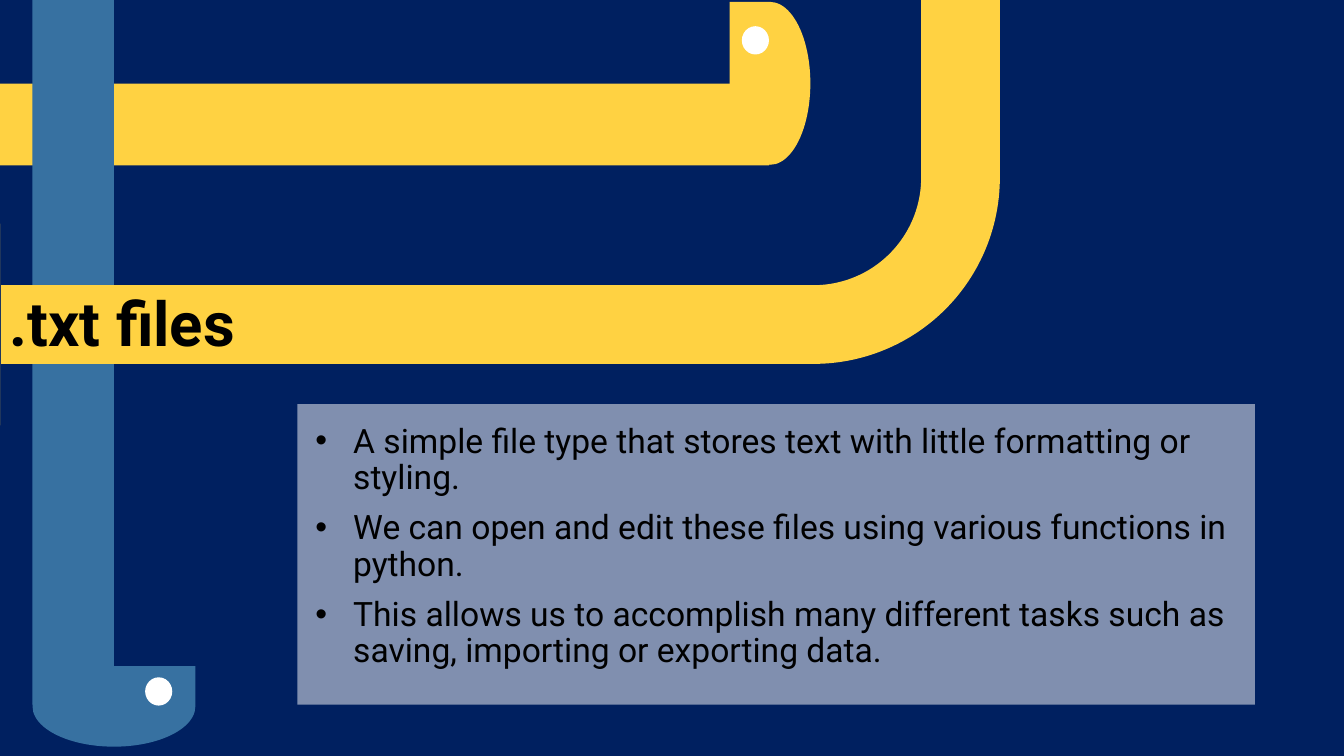
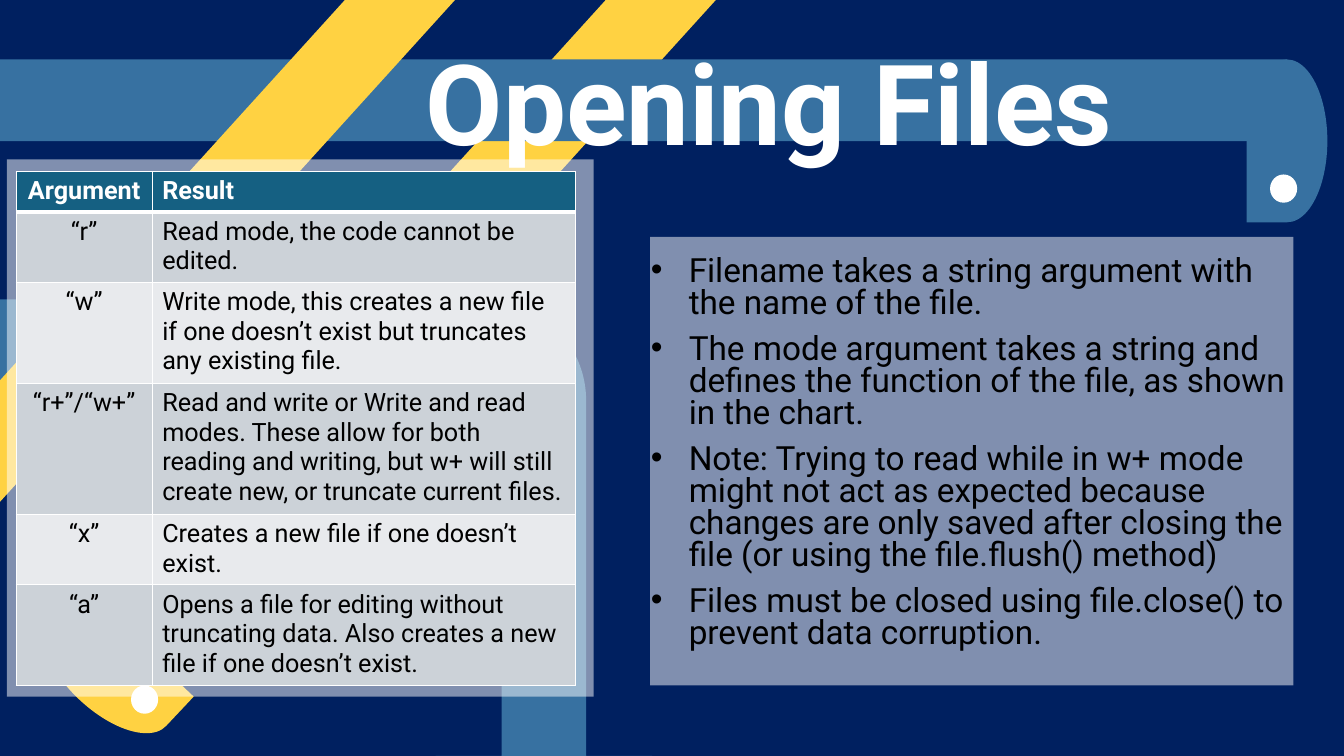
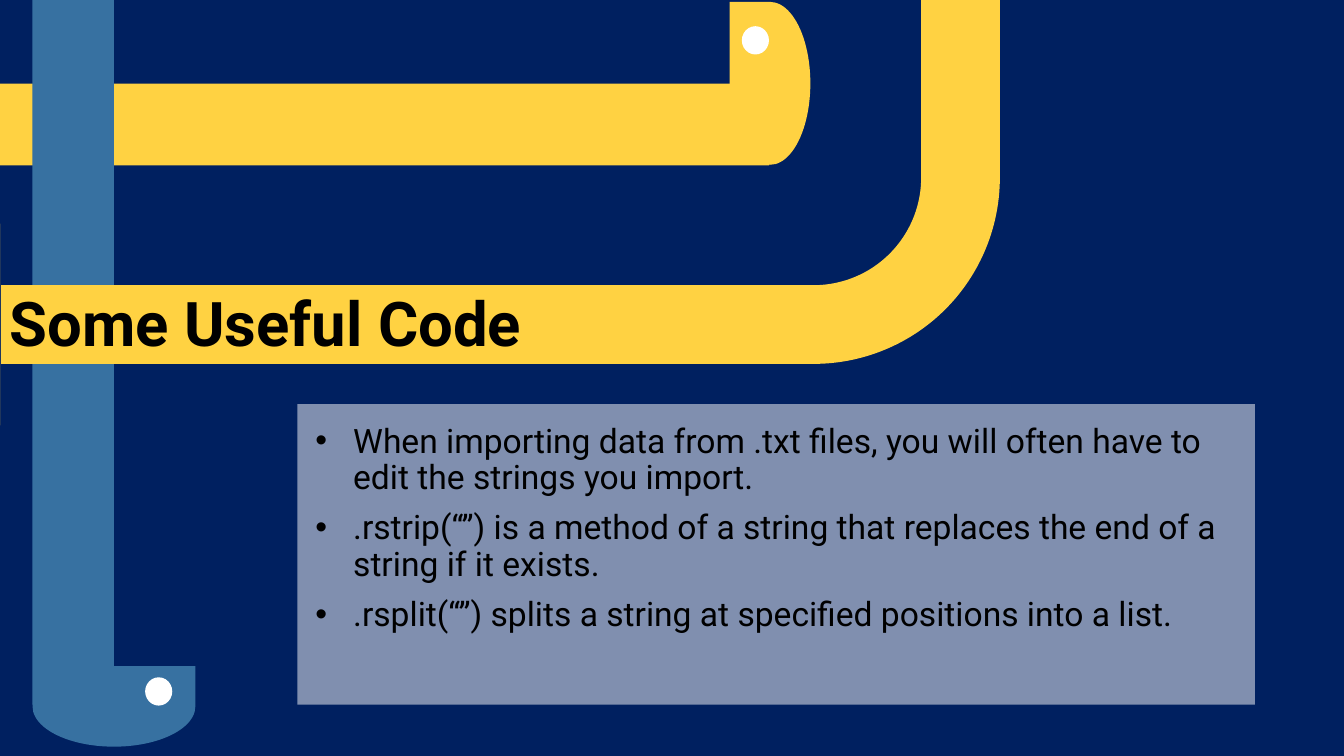
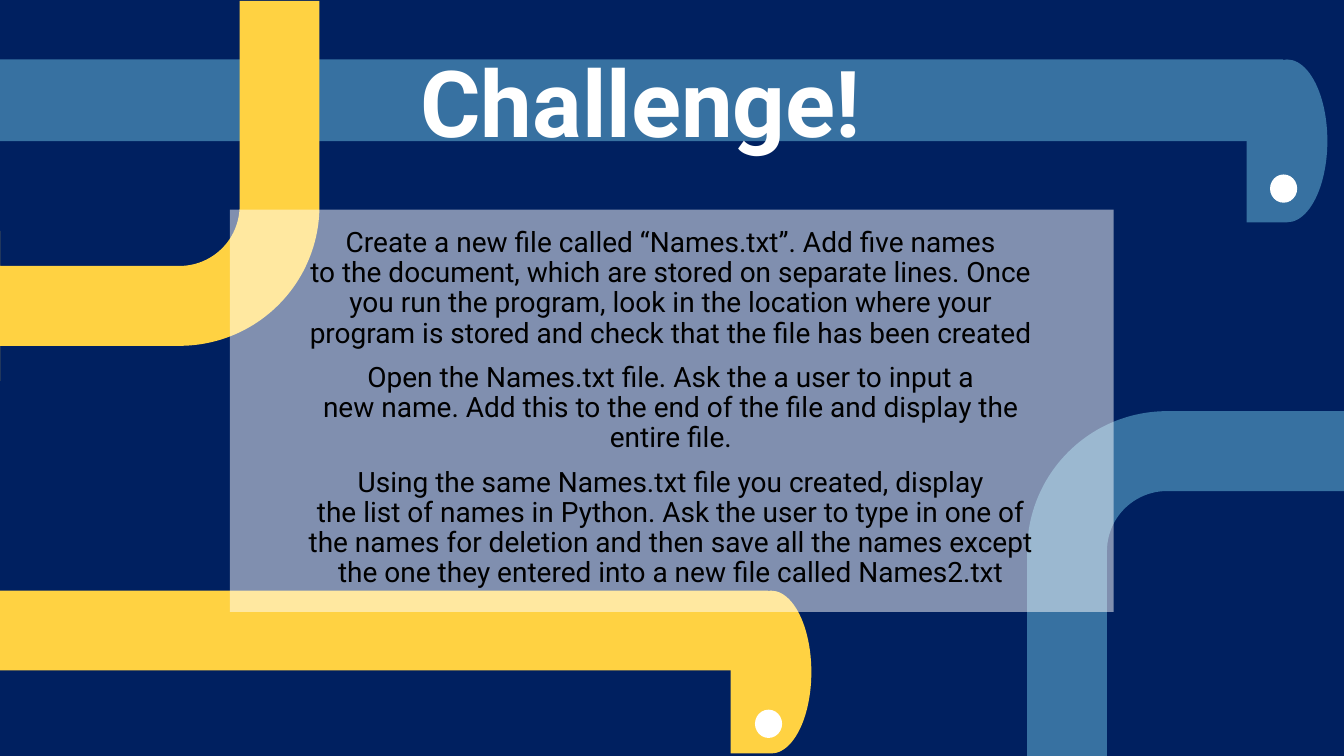
"""Build four slides on text files in Python, with snake-shaped bands."""
import lxml.etree
import pptx
import pptx.dml.color
import pptx.enum.shapes
import pptx.enum.text
import pptx.oxml.ns
import pptx.util

Pt = pptx.util.Pt
RGBColor = pptx.dml.color.RGBColor
SHAPE = pptx.enum.shapes.MSO_SHAPE
ALIGN = pptx.enum.text.PP_ALIGN
ANCHOR = pptx.enum.text.MSO_ANCHOR
qn = pptx.oxml.ns.qn

NAVY = RGBColor(0x00, 0x20, 0x60)
YELLOW = RGBColor(0xFF, 0xD2, 0x42)
BLUE = RGBColor(0x37, 0x71, 0xA1)
WHITE = RGBColor(0xFF, 0xFF, 0xFF)
BLACK = RGBColor(0x00, 0x00, 0x00)
HEADER = RGBColor(0x15, 0x60, 0x82)
STRIPES = (RGBColor(0xE8, 0xEA, 0xED), RGBColor(0xCC, 0xD2, 0xD8))

FONT = "Roboto"
BAND = 58.3
HEAD_W, HEAD_H = 57.6, 116.3
EYE_W, EYE_H = 19.4, 20.2
INDENT = 27
LINE, CELL_PAD = 21.1, 7.2

MODES = [
    ("Argument", "Result", 1),
    ("“r”", "Read mode, the code cannot be edited.", 2),
    ("“w”", "Write mode, this creates a new file if one doesn’t exist "
     "but truncates any existing file.", 3),
    ("“r+”/“w+”", "Read and write or Write and read modes. These allow for both "
     "reading and writing, but w+ will still create new, or truncate current files.", 4),
    ("“x”", "Creates a new file if one doesn’t exist.", 2),
    ("“a”", "Opens a file for editing without truncating data. "
     "Also creates a new file if one doesn’t exist.", 3),
]


def add_run(p, text, size, color=BLACK, bold=False):
    """Add one run in the deck font."""
    r = p.add_run()
    r.text = text
    r.font.name = FONT
    r.font.size = Pt(size)
    r.font.bold = bold
    r.font.color.rgb = color


def add_shape(s, kind, at, fill, rot=0, flip="", adj=()):
    """Add a plain filled preset shape without outline."""
    sp = s.shapes.add_shape(kind, *map(Pt, at))
    sp.shadow.inherit = False
    sp.fill.solid()
    sp.fill.fore_color.rgb = fill
    sp.line.fill.background()
    sp.rotation = rot
    for axis in flip:
        sp.element.spPr.xfrm.set("flip" + axis, "1")
    for i, value in enumerate(adj):
        sp.adjustments[i] = value
    return sp


def add_band(s, left, top, length, fill, rot=0):
    """Add a straight piece of a snake's body."""
    return add_shape(s, SHAPE.RECTANGLE, (left, top, length, BAND), fill, rot)


def add_bend(s, at, fill, rot, adj):
    """Add a curved piece of a snake's body."""
    add_shape(s, SHAPE.BENT_ARROW, at, fill, rot, adj=adj)


def add_head(s, left, top, fill, eye, rot=0, flip="H"):
    """Add a snake's head with its eye."""
    add_shape(s, SHAPE.TEAR, (left, top, HEAD_W, HEAD_H), fill, rot, flip)
    add_shape(s, SHAPE.FLOWCHART_CONNECTOR, (*eye, EYE_W, EYE_H), WHITE)


def add_panel(s, *at):
    """Add a half-transparent white panel."""
    sp = add_shape(s, SHAPE.RECTANGLE, at, WHITE)
    color = sp.element.spPr.find(qn("a:solidFill")).find(qn("a:srgbClr"))
    lxml.etree.SubElement(color, qn("a:alpha")).set("val", "50000")


def add_text(s, at, paragraphs, size, spacing=0.9, bullets=False, align=ALIGN.LEFT,
             anchor=ANCHOR.TOP, bold=False):
    """Add a text box; a newline in a paragraph is a line break."""
    tf = s.shapes.add_textbox(*map(Pt, at)).text_frame
    tf.word_wrap = True
    tf.vertical_anchor = anchor
    for i, text in enumerate(paragraphs):
        p = tf.add_paragraph() if i else tf.paragraphs[0]
        p.alignment = align
        p.line_spacing = spacing
        p.space_before = Pt(10)
        if bullets:
            pPr = p._p.get_or_add_pPr()
            pPr.set("marL", str(Pt(INDENT)))
            pPr.set("indent", str(-Pt(INDENT)))
            lxml.etree.SubElement(pPr, qn("a:buFont")).set("typeface", "Arial")
            lxml.etree.SubElement(pPr, qn("a:buChar")).set("char", "•")
        for j, line in enumerate(text.split("\n")):
            if j:
                p.add_line_break()
            add_run(p, line, size)
            p.runs[-1].font.bold = bold


def add_title_band(s, left, length, text, size, inset=7.2):
    """Add the blue snake that carries a slide's title."""
    add_head(s, 890.6, 42.5, BLUE, (907.2, 124.6), flip="HV")
    tf = add_band(s, left, 42.5, length, BLUE).text_frame
    tf.word_wrap = True
    tf.margin_left = Pt(inset)
    tf.vertical_anchor = ANCHOR.MIDDLE
    p = tf.paragraphs[0]
    p.alignment = ALIGN.CENTER
    add_run(p, text, size, WHITE, True)


def set_borders(cell, bottom):
    """Give a cell white borders, with its own bottom width."""
    tcPr = cell._tc.get_or_add_tcPr()
    for side, width in (("L", 1), ("R", 1), ("T", 1), ("B", bottom)):
        ln = lxml.etree.SubElement(tcPr, qn("a:ln" + side), w=str(Pt(width)))
        fill = lxml.etree.SubElement(ln, qn("a:solidFill"))
        lxml.etree.SubElement(fill, qn("a:srgbClr"), val=str(WHITE))


def add_mode_table(s, left, top, widths):
    """Add the table of file modes."""
    heights = [CELL_PAD + LINE * lines for *_, lines in MODES]
    table = s.shapes.add_table(len(MODES), len(widths), Pt(left), Pt(top),
                               Pt(sum(widths)), Pt(sum(heights))).table
    for column, width in zip(table.columns, widths):
        column.width = Pt(width)
    for i, (*texts, _) in enumerate(MODES):
        table.rows[i].height = Pt(heights[i])
        is_header = i == 0
        for j, text in enumerate(texts):
            cell = table.cell(i, j)
            set_borders(cell, 3 if is_header else 1)
            cell.fill.solid()
            cell.fill.fore_color.rgb = HEADER if is_header else STRIPES[i % 2]
            p = cell.text_frame.paragraphs[0]
            p.alignment = ALIGN.LEFT if j else ALIGN.CENTER
            add_run(p, text, 18, WHITE if is_header else BLACK, is_header)


def add_topic_slide(s, title, points):
    """Fill a slide with a title on the yellow snake and a bullet panel."""
    add_band(s, 0, 59.8, 549.4, YELLOW)
    add_band(s, -199.4, 222.5, 503.3, BLUE, 90)
    add_bend(s, (0.7, 0, 713.5, 303.8), YELLOW, 180, (0.185, 0.237, 0, 0.438))
    add_panel(s, 212.4, 288.7, 684, 214.6)
    add_text(s, (0, 121.7, 598.3, 139), [title], 44, anchor=ANCHOR.BOTTOM, bold=True)
    add_text(s, (218.2, 299.5, 671.8, 193), points, 24, bullets=True)
    add_head(s, 521.3, 1.4, YELLOW, (529.9, 18.7))
    add_head(s, 52.6, 446.4, BLUE, (103.7, 483.8), 90)


def add_opening_slide(s):
    """Fill the slide on opening files."""
    add_bend(s, (69.8, 144, 326.2, 465.8), BLUE, 90, (0.185, 0.237, 0, 0.222))
    add_band(s, -53.3, 186.5, 659.5, YELLOW, 312.2)
    add_title_band(s, 0, 919.4, "Opening Files", 80, 187)
    add_band(s, -114.5, 126.7, 517.7, YELLOW, 312.2)
    add_panel(s, 464.4, 169.2, 459.4, 320.4)
    add_head(s, 47.5, 420.5, YELLOW, (93.6, 489.6), 133.3)
    add_panel(s, 5, 113.8, 419, 383.8)
    add_text(s, (457.9, 180, 472.3, 298.8), [
        "Filename takes a string argument with the name of the file.",
        "The mode argument takes a string and defines the function of the file, "
        "as shown in the chart.",
        "Note: Trying to read while in w+ mode might not act as expected because "
        "changes are only saved after closing the file (or using the file.flush() method)",
        "Files must be closed using file.close() to prevent data corruption.",
    ], 23.8, 0.8, bullets=True)
    add_mode_table(s, 11.5, 122.4, (97.2, 302.4))


def add_challenge_slide(s):
    """Fill the slide with the exercises."""
    bend = (0.25, 0.235, 0, 0.438)
    add_title_band(s, -1.4, 918, "Challenge!", 66)
    add_bend(s, (733.7, 268.6, 228.2, 271.4), BLUE, 0, bend)
    add_bend(s, (0, 0.7, 228.2, 271.4), YELLOW, 180, bend)
    add_shape(s, SHAPE.RECTANGLE, (-2.2, 421.9, 550.8, 56.9), YELLOW)
    add_head(s, 522, 421.9, YELLOW, (539.3, 506.9), flip="HV")
    add_panel(s, 164.2, 149.8, 631.4, 287.3)
    add_text(s, (160.6, 159.5, 637.2, 274), [
        "Create a new file called “Names.txt”. Add five names\n"
        "to the document, which are stored on separate lines. Once\n"
        "you run the program, look in the location where your\n"
        "program is stored and check that the file has been created",
        "Open the Names.txt file. Ask the a user to input a\n"
        "new name. Add this to the end of the file and display the\n"
        "entire file.",
        "Using the same Names.txt file you created, display\n"
        "the list of names in Python. Ask the user to type in one of\n"
        "the names for deletion and then save all the names except\n"
        "the one they entered into a new file called Names2.txt",
    ], 20, align=ALIGN.CENTER)


def main():
    """Build and save the deck."""
    prs = pptx.Presentation()
    prs.slide_width, prs.slide_height = Pt(960), Pt(540)
    background = prs.slide_master.background.fill
    background.solid()
    background.fore_color.rgb = NAVY
    files, opening, code, challenge = (
        prs.slides.add_slide(prs.slide_layouts[6]) for _ in range(4))
    add_topic_slide(files, ".txt files", [
        "A simple file type that stores text with little formatting or styling.",
        "We can open and edit these files using various functions in python.",
        "This allows us to accomplish many different tasks such as saving, "
        "importing or exporting data.",
    ])
    add_opening_slide(opening)
    add_topic_slide(code, "Some Useful Code", [
        "When importing data from .txt files, you will often have to edit "
        "the strings you import.",
        ".rstrip(“”) is a method of a string that replaces the end of a string "
        "if it exists.",
        ".rsplit(“”) splits a string at specified positions into a list.",
    ])
    add_challenge_slide(challenge)
    prs.save("out.pptx")


if __name__ == "__main__":
    main()
